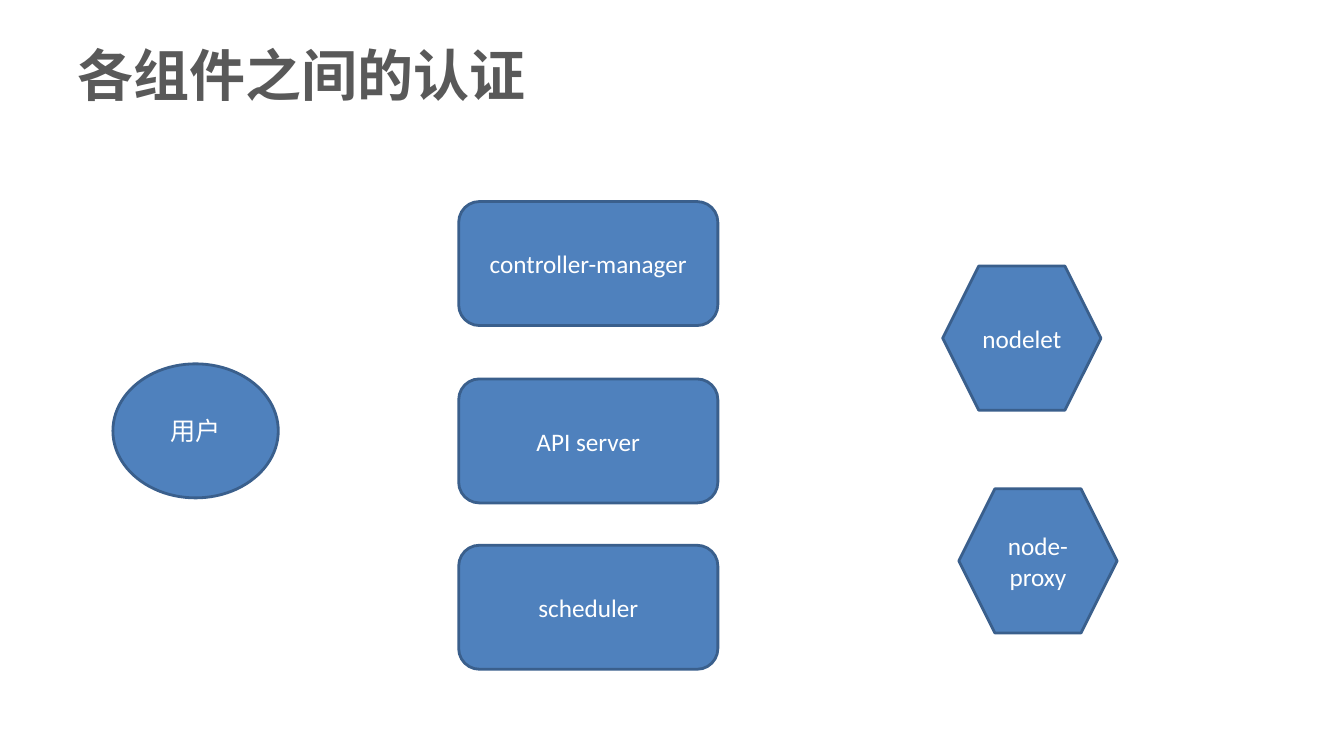
from dataclasses import dataclass

from lxml.etree import SubElement
from pptx import Presentation
from pptx.dml.color import RGBColor
from pptx.enum.shapes import MSO_SHAPE as Shape
from pptx.enum.text import MSO_ANCHOR as Anchor, PP_ALIGN as Align
from pptx.oxml.ns import qn
from pptx.slide import Slide
from pptx.text.text import TextFrame
from pptx.util import Emu, Pt

SCALE = 9144  # EMU in one px, 100 px to the inch
LATIN, HAN = "Calibri", "Noto Sans CJK SC"
BLUE, EDGE, WHITE, GREY = "4F81BD", "3A5F8C", "FFFFFF", "595959"


@dataclass
class Node:
    text: str
    kind: Shape
    left: int
    top: int
    width: int
    height: int


def px(size: int) -> Emu:
    return Emu(size * SCALE)


def color(code: str) -> RGBColor:
    return RGBColor.from_string(code)


def write(frame: TextFrame, text: str, size: int, font: str, code: str,
          align: Align, bold: bool = False) -> None:
    """Put one middle-anchored line of text in the frame."""
    frame.word_wrap = True
    frame.vertical_anchor = Anchor.MIDDLE
    frame.text = text
    line = frame.paragraphs[0]
    line.alignment = align
    for run in line.runs:
        run.font.size = Pt(size)
        run.font.bold = bold
        run.font.color.rgb = color(code)
        run.font.name = font
        SubElement(run.font._element, qn("a:ea"), typeface=HAN)


def add_title(slide: Slide, text: str) -> None:
    box = slide.shapes.add_textbox(px(67), px(30), px(1150), px(88))
    write(box.text_frame, text, 40, HAN, GREY, Align.LEFT, bold=True)


def add_node(slide: Slide, node: Node) -> None:
    shape = slide.shapes.add_shape(node.kind, px(node.left), px(node.top),
                                   px(node.width), px(node.height))
    shape.shadow.inherit = False
    shape.fill.solid()
    shape.fill.fore_color.rgb = color(BLUE)
    shape.line.color.rgb = color(EDGE)
    shape.line.width = Pt(2)
    write(shape.text_frame, node.text, 18, LATIN, WHITE, Align.CENTER)


def main() -> None:
    deck = Presentation()
    deck.slide_width, deck.slide_height = px(1333), px(750)
    slide = deck.slides.add_slide(deck.slide_layouts[6])
    add_title(slide, "各组件之间的认证")

    user = Node("用户", Shape.OVAL, 112, 361, 164, 133)
    masters = [
        Node(text, Shape.ROUNDED_RECTANGLE, 455, top, 257, 123)
        for text, top in (("controller-manager", 200), ("API server", 376),
                          ("scheduler", 541))
    ]
    workers = [
        Node(text, Shape.HEXAGON, left, top, 157, 143)
        for text, left, top in (("nodelet", 935, 264), ("node-proxy", 951, 485))
    ]
    for node in [user, *masters, *workers]:
        add_node(slide, node)
    deck.save("out.pptx")


if __name__ == "__main__":
    main()
